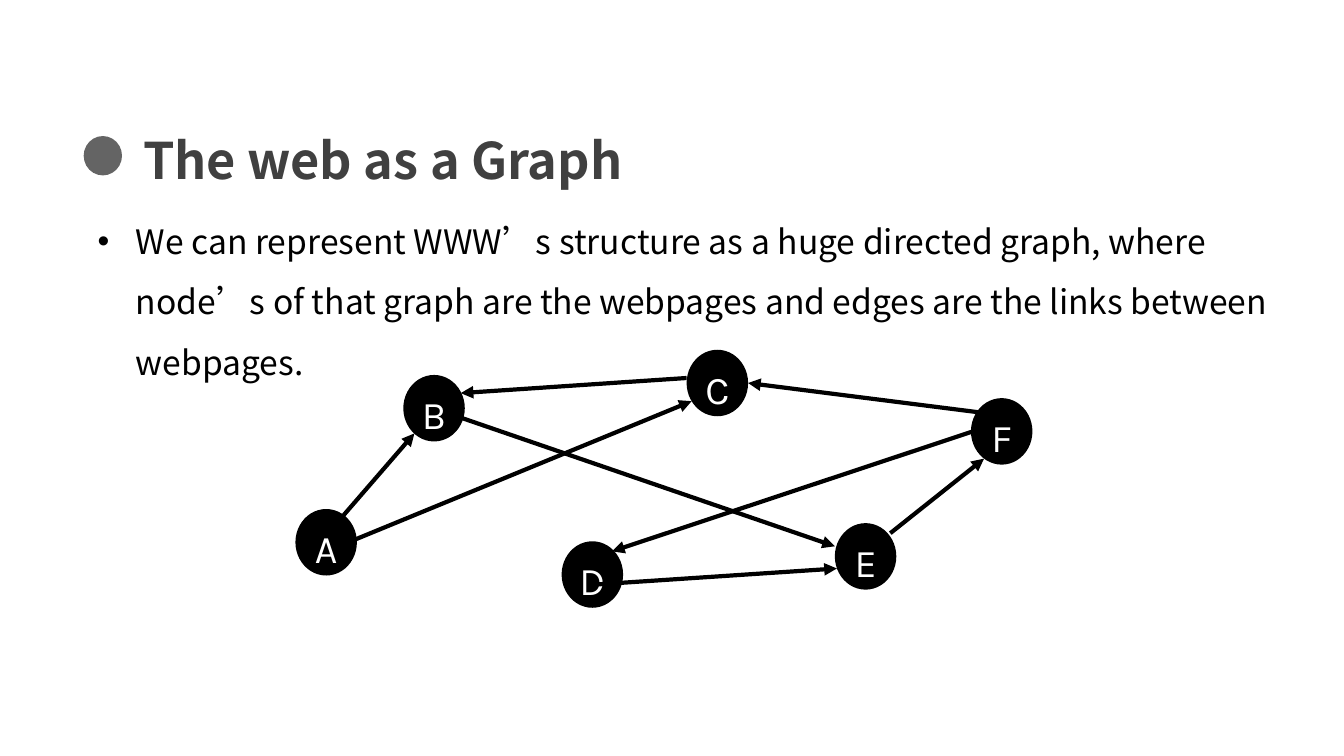
import pptx
import pptx.dml.color
import pptx.enum.shapes
import pptx.enum.text
import pptx.oxml.ns
import pptx.util
from lxml import etree

RGBColor = pptx.dml.color.RGBColor
BLACK = RGBColor(0x00, 0x00, 0x00)
WHITE = RGBColor(0xFF, 0xFF, 0xFF)
DARK_GREY = RGBColor(0x40, 0x40, 0x40)
BULLET_GREY = RGBColor(0x64, 0x64, 0x64)

SCALE = 9144  # EMU per px, 100 px to the inch
NODE_WIDTH, NODE_HEIGHT = 61, 66

# Left and top of each web page
NODES = {
    "A": (293, 505),
    "B": (400, 372),
    "C": (681, 347),
    "D": (557, 537),
    "E": (828, 519),
    "F": (963, 395),
}

# Start and end of each link
LINKS = [
    ((334, 519), (411, 430)),  # A to B
    ((348, 537), (686, 398)),  # A to C
    ((456, 414), (828, 542)),  # B to E
    ((681, 375), (457, 390)),  # C to B
    ((589, 580), (830, 564)),  # D to E
    ((883, 529), (976, 455)),  # E to F
    ((994, 412), (742, 380)),  # F to C
    ((983, 422), (607, 547)),  # F to D
]


def px(*lengths):
    return [pptx.util.Emu(length * SCALE) for length in lengths]


def add_element(parent, tag, **attributes):
    return etree.SubElement(parent, pptx.oxml.ns.qn(tag), attributes)


class GraphSlide:
    text_font = "Noto Sans CJK SC"
    node_font = "Karla"

    def __init__(self, presentation):
        self.slide = presentation.slides.add_slide(presentation.slide_layouts[5])

    def style(self, paragraph, name, size, color, bold=False):
        font = paragraph.font
        font.name, font.size, font.bold = name, pptx.util.Pt(size), bold
        font.color.rgb = color

    def title(self, text, left, top, width, height):
        shape = self.slide.shapes.title
        shape.left, shape.top, shape.width, shape.height = px(left, top, width, height)
        frame = shape.text_frame
        frame.text = text
        frame.auto_size = pptx.enum.text.MSO_AUTO_SIZE.NONE
        frame.vertical_anchor = pptx.enum.text.MSO_ANCHOR.MIDDLE
        frame.margin_left, = px(21)
        paragraph = frame.paragraphs[0]
        paragraph.alignment = pptx.enum.text.PP_ALIGN.LEFT
        paragraph.line_spacing = 1.06
        self.style(paragraph, self.text_font, 36, DARK_GREY, bold=True)

    def bullet_text(self, text, left, top, width, height):
        shape = self.slide.shapes.add_textbox(*px(left, top, width, height))
        frame = shape.text_frame
        frame.word_wrap = True
        paragraph = frame.paragraphs[0]
        paragraph.text = text
        paragraph.level = 1
        paragraph.line_spacing = 1.5
        self.style(paragraph, self.text_font, 24, BLACK)
        margin, indent = px(88, -38)
        properties = paragraph._p.get_or_add_pPr()
        properties.set("marL", str(margin))
        properties.set("indent", str(indent))
        bullet_font = etree.Element(pptx.oxml.ns.qn("a:buFont"), typeface="Arial")
        bullet = etree.Element(pptx.oxml.ns.qn("a:buChar"), char="•")
        default_run = properties.find(pptx.oxml.ns.qn("a:defRPr"))
        default_run.addprevious(bullet_font)
        default_run.addprevious(bullet)

    def ellipse(self, left, top, width, height, color):
        shape = self.slide.shapes.add_shape(
            pptx.enum.shapes.MSO_SHAPE.OVAL, *px(left, top, width, height))
        shape.shadow.inherit = False
        shape.fill.solid()
        shape.fill.fore_color.rgb = color
        shape.line.fill.background()
        return shape

    def node(self, label, left, top):
        frame = self.ellipse(left, top, NODE_WIDTH, NODE_HEIGHT, BLACK).text_frame
        frame.margin_left = frame.margin_right = frame.margin_bottom = 0
        frame.margin_top, = px(3)
        frame.vertical_anchor = pptx.enum.text.MSO_ANCHOR.MIDDLE
        paragraph = frame.paragraphs[0]
        paragraph.text = label
        paragraph.alignment = pptx.enum.text.PP_ALIGN.CENTER
        paragraph.line_spacing = pptx.util.Pt(39.2)
        self.style(paragraph, self.node_font, 28, WHITE)

    def arrow(self, start, end):
        connector = self.slide.shapes.add_connector(
            pptx.enum.shapes.MSO_CONNECTOR.STRAIGHT, *px(*start, *end))
        connector.line.color.rgb = BLACK
        connector.line.width = pptx.util.Pt(3)
        add_element(connector.line._get_or_add_ln(), "a:tailEnd", type="triangle")
        add_element(connector._element.spPr, "a:effectLst")


def main():
    presentation = pptx.Presentation()
    presentation.slide_width, presentation.slide_height = px(1333, 750)
    graph_slide = GraphSlide(presentation)

    # Heading
    graph_slide.ellipse(83, 135, 38, 39, BULLET_GREY)
    graph_slide.title("The web as a Graph", 121, 118, 1175, 76)

    # Explanation
    graph_slide.bullet_text(
        "We can represent WWW’s structure as a huge directed graph, where "
        "node’s of that graph are the webpages and edges are the links "
        "between webpages.", 37, 194, 1259, 124)

    # Directed graph
    for label, (left, top) in NODES.items():
        graph_slide.node(label, left, top)
    for start, end in LINKS:
        graph_slide.arrow(start, end)

    presentation.save("out.pptx")


if __name__ == "__main__":
    main()
